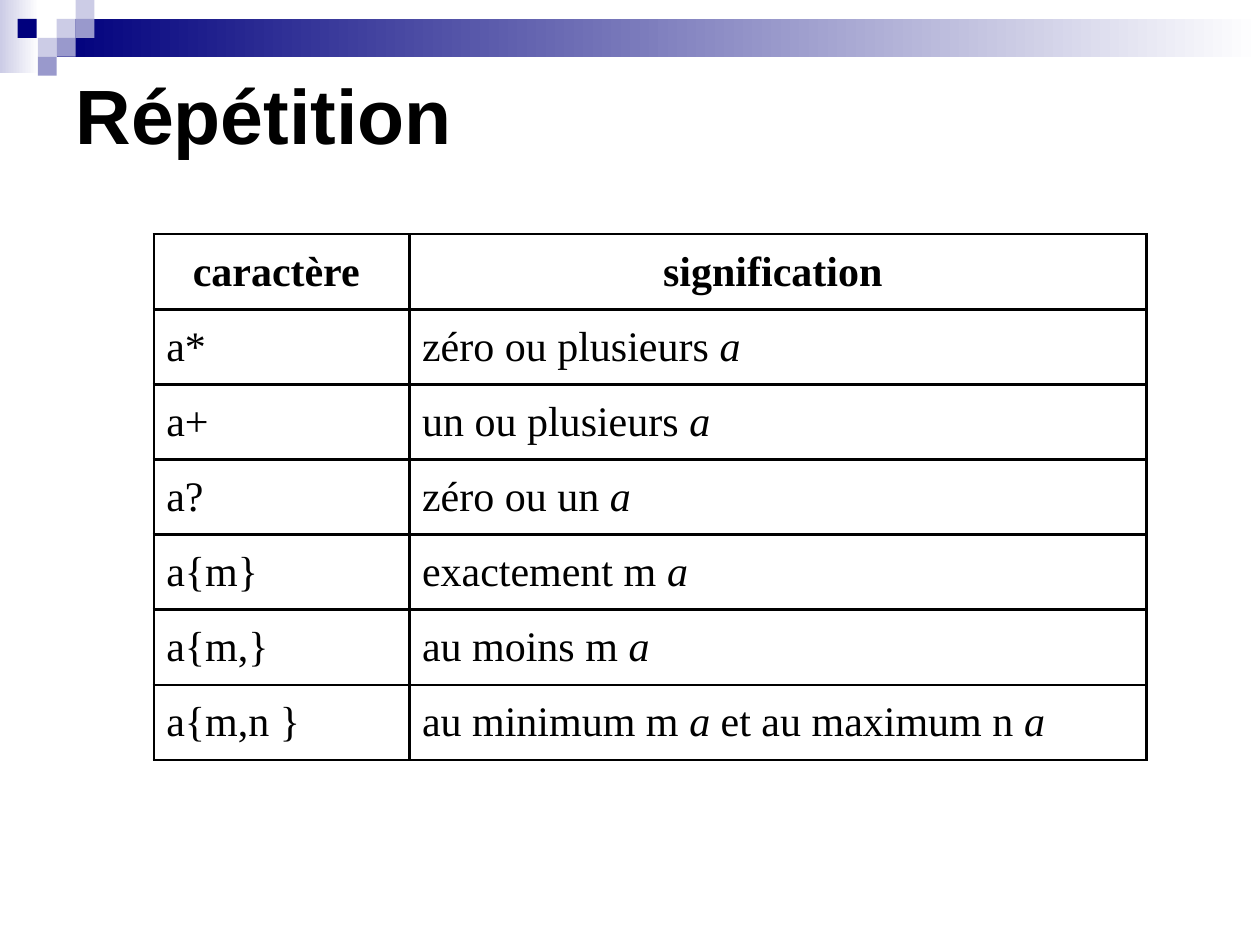
"""Builds the slide on regular expression repetition."""
import pptx
import pptx.dml.color
import pptx.enum.shapes
import pptx.enum.text
import pptx.oxml.ns
import pptx.util
from lxml import etree

Inches, Pt = pptx.util.Inches, pptx.util.Pt
ALIGN = pptx.enum.text.PP_ALIGN
MIDDLE = pptx.enum.text.MSO_ANCHOR.MIDDLE

COLORS = {"text": "000000", "navy": "00007D", "lilac": "CCCCE6",
          "violet": "9999CC", "white": "FFFFFF"}
TITLE = "Répétition"
HEADINGS = ["caractère ", "signification "]
REPETITIONS = [
    ("a*", ["zéro ou plusieurs ", "a"]),
    ("a+", ["un ou plusieurs ", "a"]),
    ("a?", ["zéro ou un ", "a"]),
    ("a{m}", ["exactement m ", "a"]),
    ("a{m,}", ["au moins m ", "a"]),
    ("a{m,n }", ["au minimum m ", "a", " et au maximum n ", "a"]),
]
BANDS = [((0, 0, 0.31, 0.58), "lilac"), ((0.45, 0.15, 9.55, 0.3), "navy")]
SQUARE = 0.15
SQUARES = [(0.45, 0.15, "lilac"), (0.6, 0, "lilac"), (0.6, 0.15, "violet"),
           (0.3, 0.3, "lilac"), (0.14, 0.15, "navy"), (0.45, 0.3, "violet"),
           (0.3, 0.45, "violet")]
TABLE_LEFT, TABLE_TOP, TABLE_HEIGHT = 1.22, 1.86, 4.17
COLUMN_WIDTHS = [2.03, 5.85]
BORDER = 1.47


def rgb(name):
    return pptx.dml.color.RGBColor.from_string(COLORS[name])


def add_block(slide, box):
    block = slide.shapes.add_shape(
        pptx.enum.shapes.MSO_SHAPE.RECTANGLE, *map(Inches, box))
    block.shadow.inherit = False
    block.line.fill.background()
    return block


def add_decoration(slide):
    for box, start in BANDS:
        fill = add_block(slide, box).fill
        fill.gradient()
        fill.gradient_angle = 0
        for stop, color in zip(fill.gradient_stops, (start, "white")):
            stop.color.rgb = rgb(color)
    for left, top, color in SQUARES:
        fill = add_block(slide, (left, top, SQUARE, SQUARE)).fill
        fill.solid()
        fill.fore_color.rgb = rgb(color)


def add_run(paragraph, text, font, size, bold=False, italic=False):
    run = paragraph.add_run()
    run.text = text
    run.font.name, run.font.size = font, Pt(size)
    run.font.bold, run.font.italic = bold, italic
    run.font.color.rgb = rgb("text")


def add_title(slide):
    title = slide.shapes.title
    title.left, title.top = Inches(0.5), Inches(0.5)
    title.width, title.height = Inches(9.5), Inches(0.81)
    title.text_frame.vertical_anchor = MIDDLE
    paragraph = title.text_frame.paragraphs[0]
    paragraph.alignment = ALIGN.LEFT
    add_run(paragraph, TITLE, "Arial", 44, bold=True)


def draw_borders(cell):
    qn = pptx.oxml.ns.qn
    properties = cell._tc.get_or_add_tcPr()
    for side in ("lnL", "lnR", "lnT", "lnB"):
        line = etree.SubElement(properties, qn(f"a:{side}"), w=str(Pt(BORDER)))
        solid = etree.SubElement(line, qn("a:solidFill"))
        etree.SubElement(solid, qn("a:srgbClr"), val=COLORS["text"])


def fill_cell(cell, pieces, heading):
    draw_borders(cell)
    cell.fill.background()
    cell.vertical_anchor = MIDDLE
    cell.margin_left = cell.margin_right = Inches(0.1)
    cell.margin_top = cell.margin_bottom = Inches(0.05)
    paragraph = cell.text_frame.paragraphs[0]
    paragraph.alignment = ALIGN.CENTER if heading else ALIGN.LEFT
    for index, piece in enumerate(pieces):
        add_run(paragraph, piece, "Times New Roman", 24,
                bold=heading, italic=index % 2 == 1)


def add_repetition_table(slide):
    rows = [[[heading] for heading in HEADINGS]]
    rows += [[[pattern], meaning] for pattern, meaning in REPETITIONS]
    table = slide.shapes.add_table(
        len(rows), len(COLUMN_WIDTHS), Inches(TABLE_LEFT), Inches(TABLE_TOP),
        Inches(sum(COLUMN_WIDTHS)), Inches(TABLE_HEIGHT)).table
    table.horz_banding = False
    table.first_row = False
    for column, width in zip(table.columns, COLUMN_WIDTHS):
        column.width = Inches(width)
    for r, row in enumerate(rows):
        for c, pieces in enumerate(row):
            fill_cell(table.cell(r, c), pieces, heading=r == 0)


def main():
    deck = pptx.Presentation()
    deck.slide_width, deck.slide_height = Inches(10), Inches(7.5)
    slide = deck.slides.add_slide(deck.slide_layouts[5])
    add_decoration(slide)
    add_title(slide)
    add_repetition_table(slide)
    deck.save("out.pptx")


if __name__ == "__main__":
    main()
